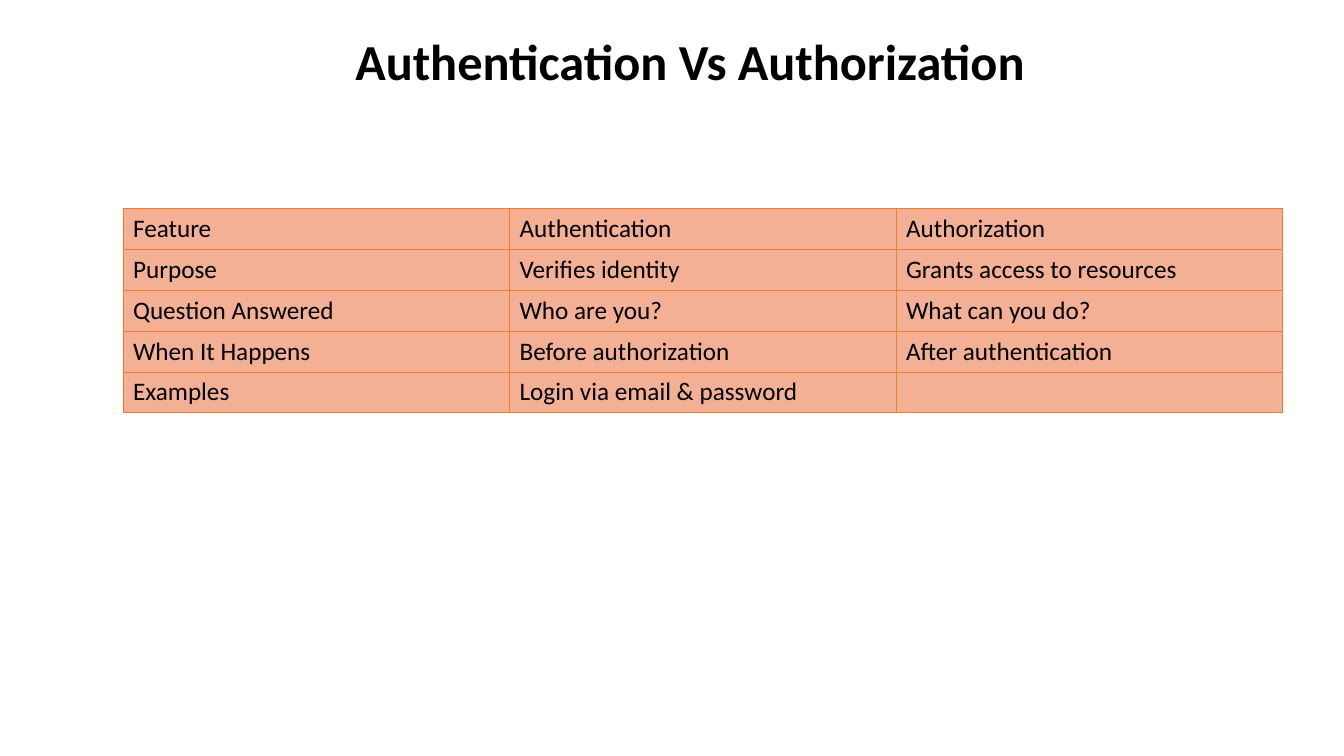
from lxml import etree
from pptx import Presentation
from pptx.dml.color import RGBColor
from pptx.enum import text
from pptx.oxml import ns
from pptx.util import Cm, Pt

BLACK = RGBColor(0, 0, 0)
ORANGE = RGBColor(0xED, 0x7D, 0x31)
SALMON = RGBColor(0xF4, 0xB0, 0x95)
FONT = "Calibri"

ROWS = [
    ("Feature", "Authentication", "Authorization"),
    ("Purpose", "Verifies identity", "Grants access to resources"),
    ("Question Answered", "Who are you?", "What can you do?"),
    ("When It Happens", "Before authorization", "After authentication"),
    ("Examples", "Login via email & password", ""),
]
COL_WIDTH = Cm(9.74)
ROW_HEIGHT = Cm(1.03)


def style_text(p, size, bold=False):
    for r in p.runs:
        r.font.name = FONT
        r.font.size = Pt(size)
        r.font.bold = bold
        r.font.color.rgb = BLACK


def add_title(s, title):
    sp = s.shapes.add_textbox(Cm(7.11), Cm(0.64), Cm(20.57), Cm(1.8))
    tf = sp.text_frame
    tf.word_wrap = True
    tf.auto_size = text.MSO_AUTO_SIZE.SHAPE_TO_FIT_TEXT
    tf.text = title
    p = tf.paragraphs[0]
    p.alignment = text.PP_ALIGN.CENTER
    style_text(p, 36, bold=True)


def set_borders(cell, color, width):
    """Draw a line on all four sides; borders must precede the fill in tcPr."""
    tcPr = cell._tc.get_or_add_tcPr()
    for i, side in enumerate(("lnL", "lnR", "lnT", "lnB")):
        ln = etree.Element(ns.qn(f"a:{side}"), w=str(width))
        fill = etree.SubElement(ln, ns.qn("a:solidFill"))
        etree.SubElement(fill, ns.qn("a:srgbClr"), val=str(color))
        tcPr.insert(i, ln)


def fill_cell(cell, value):
    cell.text = value
    cell.vertical_anchor = text.MSO_ANCHOR.MIDDLE
    cell.fill.solid()
    cell.fill.fore_color.rgb = SALMON
    set_borders(cell, ORANGE, Pt(0.5))
    p = cell.text_frame.paragraphs[0]
    p.font.size = Pt(18)
    style_text(p, 18)


def add_comparison_table(s, rows):
    n_rows, n_cols = len(rows), len(rows[0])
    table = s.shapes.add_table(n_rows, n_cols, Cm(3.1), Cm(5.25),
                               COL_WIDTH * n_cols, ROW_HEIGHT * n_rows).table
    for col in table.columns:
        col.width = COL_WIDTH
    for row, values in zip(table.rows, rows):
        row.height = ROW_HEIGHT
        for cell, value in zip(row.cells, values):
            fill_cell(cell, value)


def main():
    prs = Presentation()
    prs.slide_width, prs.slide_height = Cm(33.87), Cm(19.05)
    s = prs.slides.add_slide(prs.slide_layouts[6])
    add_comparison_table(s, ROWS)
    add_title(s, "Authentication Vs Authorization")
    prs.save("out.pptx")


if __name__ == "__main__":
    main()
